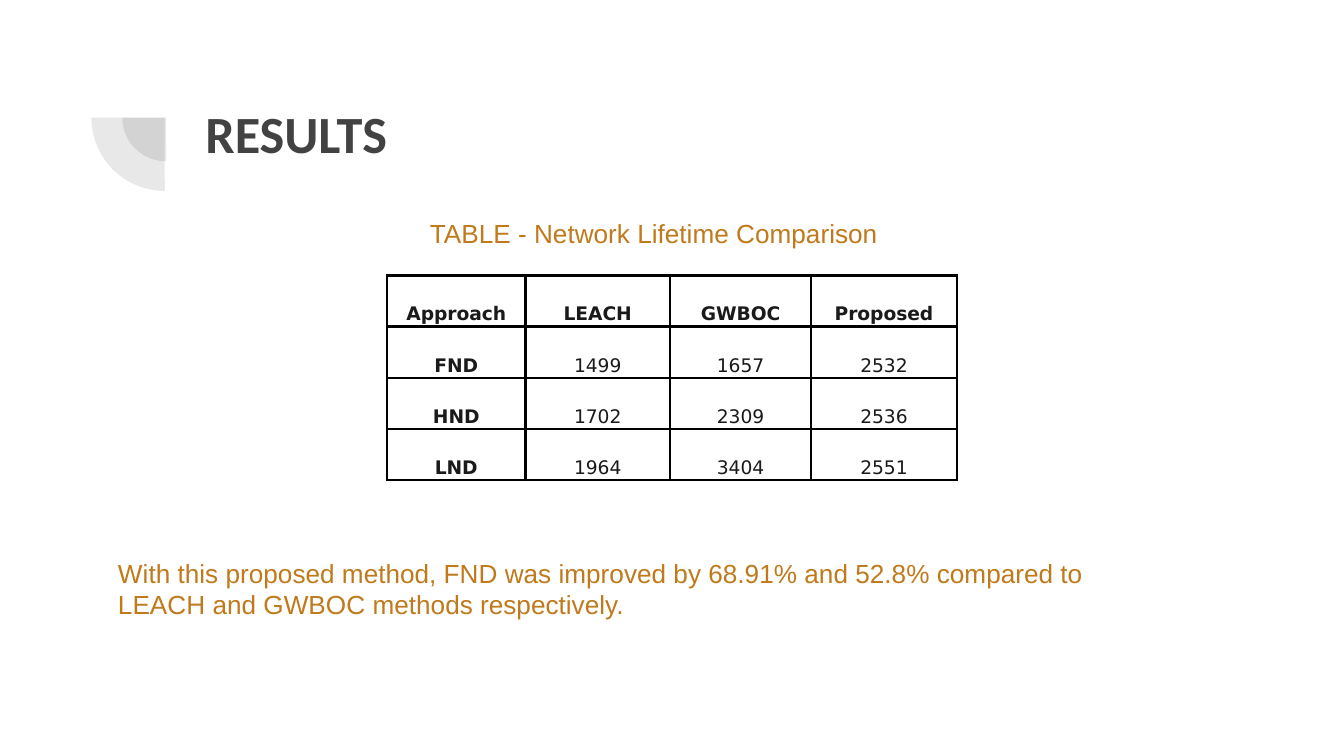
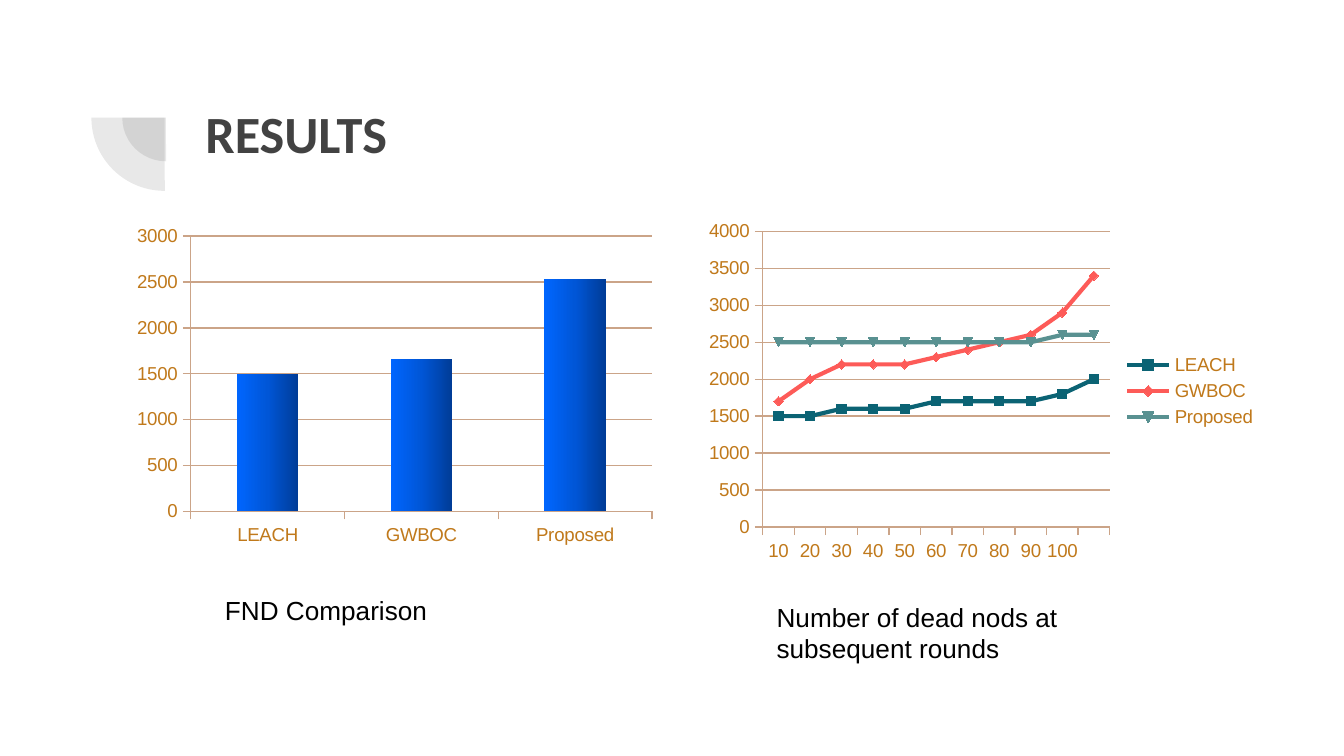
"""Build two results slides: a lifetime table, then two comparison charts."""
from lxml import etree
from pptx import Presentation
from pptx.chart.data import CategoryChartData
from pptx.dml.color import RGBColor
from pptx.enum.chart import XL_CHART_TYPE, XL_LEGEND_POSITION, XL_TICK_MARK
from pptx.enum.shapes import MSO_SHAPE
from pptx.enum.text import MSO_ANCHOR, PP_ALIGN
from pptx.oxml import parse_xml
from pptx.oxml.ns import nsdecls, qn
from pptx.util import Inches, Pt

PIE = MSO_SHAPE.PIE
BARS, LINES = XL_CHART_TYPE.COLUMN_STACKED, XL_CHART_TYPE.LINE_MARKERS
OUTSIDE, RIGHT = XL_TICK_MARK.OUTSIDE, XL_LEGEND_POSITION.RIGHT
BOTTOM, CENTER = MSO_ANCHOR.BOTTOM, PP_ALIGN.CENTER

GRAY = RGBColor(0x42, 0x42, 0x42)
OCHRE = RGBColor(0xC0, 0x79, 0x1B)
BLACK = RGBColor(0x00, 0x00, 0x00)
INK = RGBColor(0x1A, 0x1A, 0x1A)
TAN = RGBColor(0xCB, 0xA4, 0x88)
TEAL = RGBColor(0x0B, 0x63, 0x74)
CORAL = RGBColor(0xFD, 0x5B, 0x58)
SAGE = RGBColor(0x59, 0x91, 0x91)
DEEP_BLUE = RGBColor(0x00, 0x3C, 0x97)
MID_BLUE = RGBColor(0x00, 0x56, 0xD7)
BRIGHT_BLUE = RGBColor(0x00, 0x66, 0xFF)

COLUMNS, ROWS = 100, 56.25
UNIT = Inches(0.1)


def grid(*steps):
    """Turn grid steps into lengths."""
    return [round(step * UNIT) for step in steps]


def write(para, text, size=14, font="Arial", color=OCHRE, bold=False):
    """Add formatted text to a paragraph."""
    span = para.add_run()
    span.text = text
    span.font.size, span.font.name, span.font.bold = Pt(size), font, bold
    span.font.color.rgb = color


class Deck:
    """Holds the shared style and the current page."""

    def __init__(self, deck):
        """Set the slide size of an empty deck."""
        self.deck = deck
        deck.slide_width, deck.slide_height = grid(COLUMNS, ROWS)
        self.page = None

    def add_page(self, title):
        """Add a page with the quarter rings and a title."""
        self.page = self.deck.slides.add_slide(self.deck.slide_layouts[6])
        rings = self.page.shapes.add_group_shape()
        for left, top, size in ((9.1, 5.5, 6.5), (6.8, 3.3, 10.9)):
            ring = rings.shapes.add_shape(PIE, *grid(left, top, size, size))
            ring.adjustments[0], ring.adjustments[1] = 107.93, 162
            ring.rotation = 270
            ring.shadow.inherit = False
            ring.fill.solid()
            ring.fill.fore_color.rgb = GRAY
            ring.line.fill.background()
            color = ring.fill._xPr.find(qn("a:solidFill"))[0]
            etree.SubElement(color, qn("a:alpha"), val="12000")
        self.text(title, 14.3, 6.5, 76.9, 10.9, inset=1, size=28,
                  font="Calibri", color=GRAY, bold=True)

    def text(self, text, left, top, width, height, inset=0.5, **style):
        """Add a wrapped text box."""
        box = self.page.shapes.add_textbox(*grid(left, top, width, height))
        box.text_frame.word_wrap = True
        box.text_frame.margin_top = grid(inset)[0]
        write(box.text_frame.paragraphs[0], text, **style)

    def table(self, rows, left, top, widths, row_height):
        """Add a ruled table with bold headings in its first row and column."""
        frame = self.page.shapes.add_table(
            len(rows), len(widths),
            *grid(left, top, sum(widths), row_height * len(rows)))
        table = frame.table
        table.first_row = table.horz_banding = False
        for column, width in zip(table.columns, widths):
            column.width = grid(width)[0]
        for y, row in enumerate(rows):
            for x, text in enumerate(row):
                self.cell(table.cell(y, x), text, bold=x == 0 or y == 0)

    def cell(self, cell, text, bold):
        """Fill and rule one table cell."""
        cell.margin_left = cell.margin_right = Inches(0.03)
        cell.margin_top = cell.margin_bottom = Inches(0.01)
        cell.vertical_anchor = BOTTOM
        for side in "LRTB":
            cell._tc.get_or_add_tcPr().append(parse_xml(
                f'<a:ln{side} {nsdecls("a")} w="{Pt(1.5)}"><a:solidFill>'
                f'<a:srgbClr val="{BLACK}"/></a:solidFill></a:ln{side}>'))
        cell.fill.background()
        para = cell.text_frame.paragraphs[0]
        para.alignment, para.line_spacing = CENTER, 1.15
        para.space_before = Pt(12)
        write(para, text, size=10, font="DejaVu Sans", color=INK, bold=bold)

    def chart(self, kind, categories, series, left, top, width, height, limit):
        """Add a chart with the shared fonts, axes and gridlines."""
        data = CategoryChartData()
        data.categories = categories
        for name, values in series.items():
            data.add_series(name, values)
        chart = self.page.shapes.add_chart(
            kind, *grid(left, top, width, height), data).chart
        chart.has_title = chart.has_legend = False
        chart.font.size, chart.font.name = Pt(10), "Arial"
        chart.font.color.rgb = OCHRE
        chart.plots[0].vary_by_categories = False
        values = chart.value_axis
        values.minimum_scale, values.maximum_scale = 0, limit
        values.major_unit = 500
        values.has_major_gridlines = True
        for axis in (values, chart.category_axis):
            axis.major_tick_mark = OUTSIDE
        for holder in (values, chart.category_axis, values.major_gridlines):
            holder.format.line.color.rgb = TAN
            holder.format.line.width = Pt(0.7)
        return chart

    def bar_chart(self, *args, stops, **options):
        """Add a column chart with gradient bars."""
        chart = self.chart(BARS, *args, **options)
        plot = chart.plots[0]
        plot.gap_width, plot.overlap = 150, 100
        fill = plot.series[0].format.fill
        fill.gradient()
        fill.gradient_angle = 180
        stop_list = fill._fill._gradFill.find(qn("a:gsLst"))
        for stop in list(stop_list):
            stop_list.remove(stop)
        for index, color in enumerate(stops):
            stop = etree.SubElement(stop_list, qn("a:gs"),
                                    pos=str(100000 * index // (len(stops) - 1)))
            etree.SubElement(stop, qn("a:srgbClr"), val=str(color))

    def line_chart(self, *args, colors, **options):
        """Add a line chart with markers and a legend."""
        chart = self.chart(LINES, *args, **options)
        chart.has_legend = True
        chart.legend.position = RIGHT
        chart.legend.include_in_layout = False
        for series, color in zip(chart.plots[0].series, colors):
            series.smooth = False
            series.format.line.color.rgb = color
            series.format.line.width = Pt(2.25)


def main():
    """Build and save both pages."""
    deck = Presentation()
    pages = Deck(deck)
    pages.add_page("RESULTS")
    pages.table([("Approach", "LEACH", "GWBOC", "Proposed"),
                 ("FND", "1499", "1657", "2532"),
                 ("HND", "1702", "2309", "2536"),
                 ("LND", "1964", "3404", "2551")],
                28.8, 20.5, (10.3, 10.75, 10.5, 10.85), 3.81)
    pages.text("With this proposed method, FND was improved by 68.91% and 52.8% "
               "compared to LEACH and GWBOC methods respectively.",
               7.8, 38.6, 79.7, 8.1, inset=2.85)
    pages.text("TABLE - Network Lifetime Comparison", 31, 15.7, 37.1, 3.4)

    pages.add_page("RESULTS")
    pages.text("FND Comparison", 15.75, 43.75, 23, 3.4, color=BLACK)
    pages.text("Number of dead nods at subsequent rounds",
               56.8, 44.25, 28.3, 5.7, color=BLACK)
    pages.bar_chart(("LEACH", "GWBOC", "Proposed"),
                    {"Series 1": (1500, 1660, 2530)},
                    9.4, 16.3, 39.9, 24.8, limit=3000,
                    stops=(DEEP_BLUE, MID_BLUE, BRIGHT_BLUE))
    pages.line_chart([str(share) for share in range(10, 101, 10)],
                     {"LEACH": (1500, 1500, 1600, 1600, 1600, 1700,
                                1700, 1700, 1700, 1800, 2000),
                      "GWBOC": (1700, 2000, 2200, 2200, 2200, 2300,
                                2400, 2500, 2600, 2900, 3400),
                      "Proposed": [2500] * 9 + [2600] * 2},
                     51.9, 15.9, 42.6, 26.4, limit=4000,
                     colors=(TEAL, CORAL, SAGE))
    deck.save("out.pptx")


if __name__ == "__main__":
    main()
